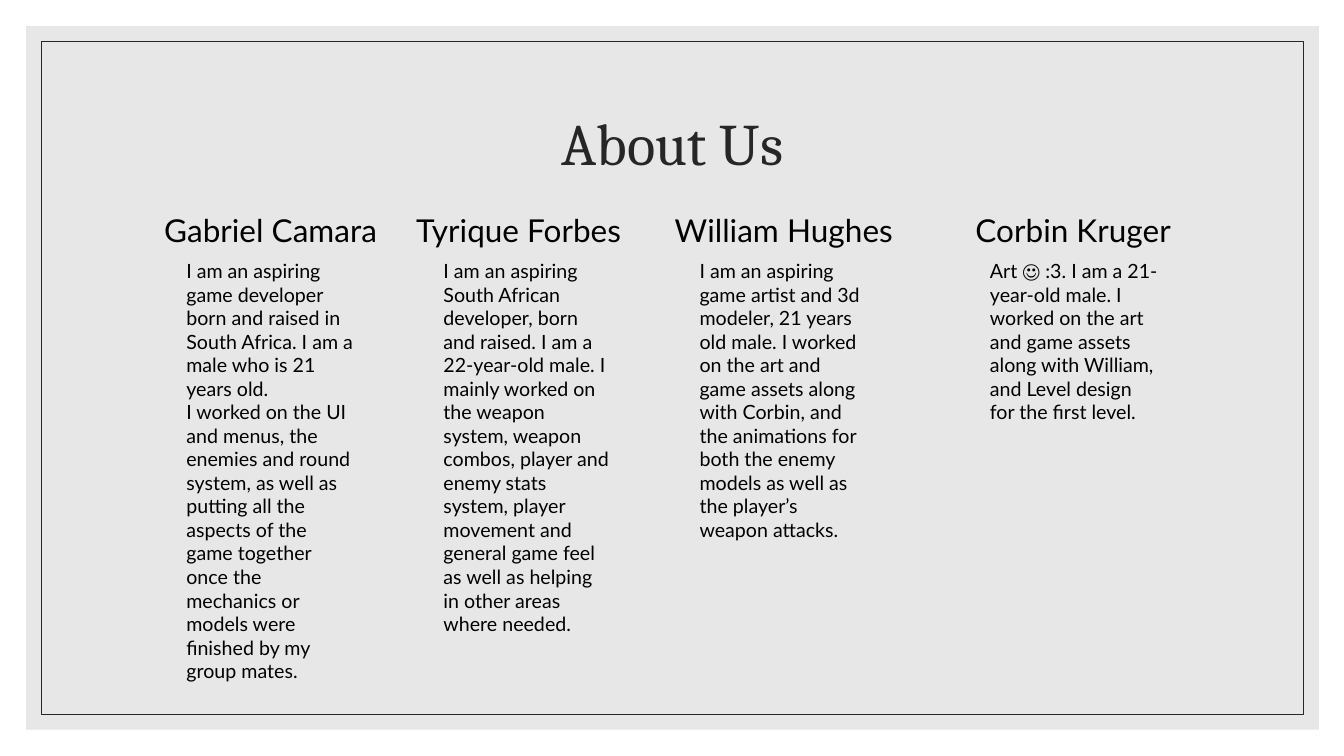
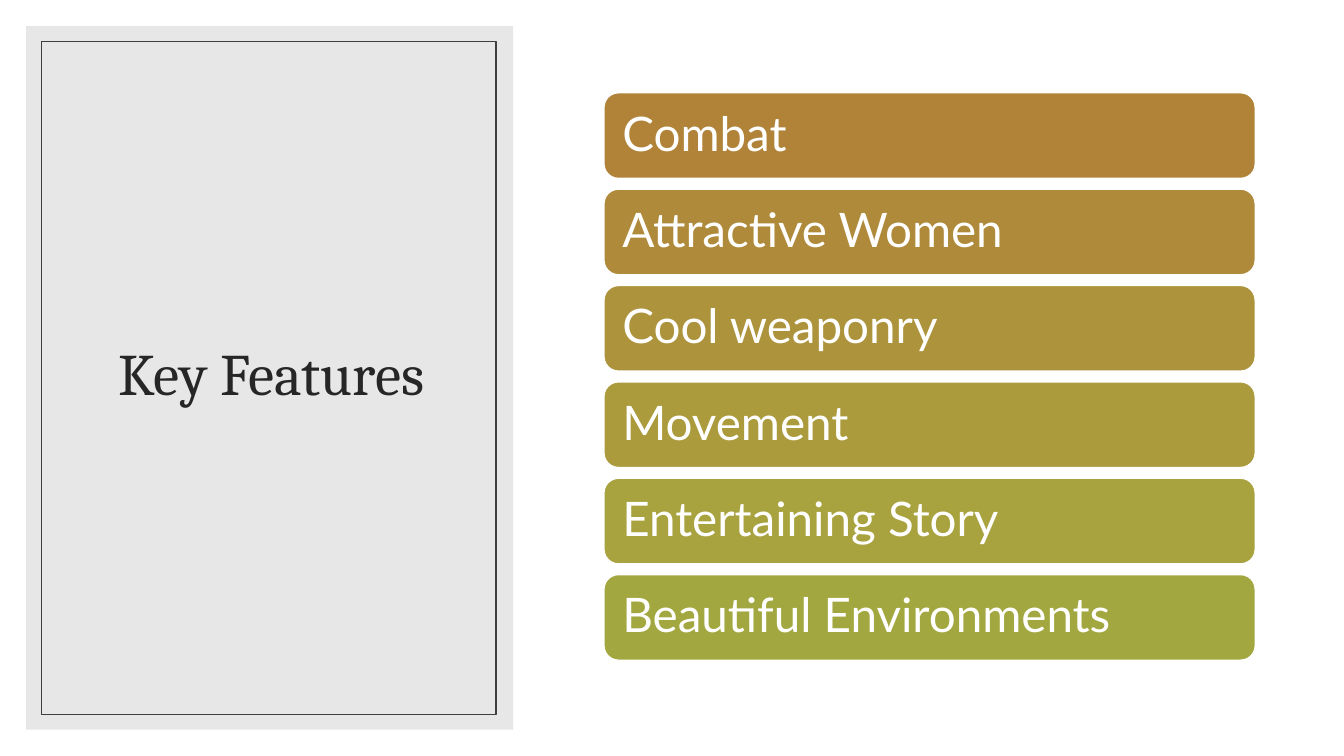
from pptx import Presentation
from pptx.dml.color import RGBColor
from pptx.enum.shapes import MSO_SHAPE as Preset
from pptx.enum.text import MSO_ANCHOR as Anchor, MSO_AUTO_SIZE as AutoSize, PP_ALIGN as Align
from pptx.util import Inches, Pt

INK = "262626"
WHITE = "FFFFFF"
PANEL_FILL = "E7E7E7"
TITLE_FONT = "Cambria"
BODY_FONT = "Lato"


def color(value):
    return RGBColor.from_string(value)


def write(shape, text, size, font=BODY_FONT, ink="000000", align=Align.LEFT,
          anchor=Anchor.TOP, spacing=1.0, side=0.1):
    frame = shape.text_frame
    frame.text = text
    frame.word_wrap = True
    frame.auto_size = AutoSize.NONE
    frame.vertical_anchor = anchor
    frame.margin_left = frame.margin_right = Inches(side)
    frame.margin_top = frame.margin_bottom = Inches(0.05)
    for paragraph in frame.paragraphs:
        paragraph.alignment = align
        paragraph.line_spacing = spacing
        for run in paragraph.runs:
            run.font.name = font
            run.font.size = Pt(size)
            run.font.color.rgb = color(ink)


presentation = Presentation()
presentation.slide_width = Inches(13.33)
presentation.slide_height = Inches(7.5)

slide_specs = [
    ("About Us", 12.82, 12.52, INK, (1.17, 0.7, 11, 1.5)),
    ("Key Features", 4.83, 4.51, "3F3F3F", (0.63, 0.61, 4.12, 6.24)),
]
slides = []
for heading, panel_width, frame_width, frame_color, title_box in slide_specs:
    slide = presentation.slides.add_slide(presentation.slide_layouts[5])
    slides.append(slide)

    panel = slide.shapes.add_shape(
        Preset.RECTANGLE, Inches(0.26), Inches(0.26), Inches(panel_width), Inches(6.98))
    panel.shadow.inherit = False
    panel.fill.solid()
    panel.fill.fore_color.rgb = color(PANEL_FILL)
    panel.line.fill.background()

    border = slide.shapes.add_shape(
        Preset.RECTANGLE, Inches(0.41), Inches(0.41), Inches(frame_width), Inches(6.68))
    border.shadow.inherit = False
    border.fill.background()
    border.line.color.rgb = color(frame_color)
    border.line.width = Pt(0.75)

    title = slide.shapes.title
    title.left, title.top, title.width, title.height = map(Inches, title_box)
    write(title, heading, 42, font=TITLE_FONT, ink=INK, align=Align.CENTER,
          anchor=Anchor.MIDDLE, spacing=0.9)
    slide.shapes.element.append(title.element)

about_slide, features_slide = slides

members = [
    ("Gabriel Camara", 1.17, 1.75, 4.34,
     "I am an aspiring game developer born and raised in South Africa. "
     "I am a male who is 21 years old.\n"
     "I worked on the UI and menus, the enemies and round system, as well as "
     "putting all the aspects of the game together once the mechanics or models "
     "were finished by my group mates."),
    ("Tyrique Forbes", 3.63, 4.3, 3.64,
     "I am an aspiring South African developer, born and raised. "
     "I am a 22-year-old male. I mainly worked on the weapon system, weapon combos, "
     "player and enemy stats system, player movement and general game feel as well "
     "as helping in other areas where needed."),
    ("William Hughes", 6.26, 6.84, 2.93,
     "I am an aspiring game artist and 3d modeler, 21 years old male. "
     "I worked on the art and game assets along with Corbin, and the animations for "
     "both the enemy models as well as the player’s weapon attacks."),
    ("Corbin Kruger", 9.13, 9.72, 1.99,
     "Art ☺ :3. I am a 21-year-old male. I worked on the art and game assets along "
     "with William, and Level design for the first level."),
]
for name, name_left, bio_left, bio_height, bio in members:
    name_box = about_slide.shapes.add_textbox(
        Inches(name_left), Inches(2.04), Inches(3.03), Inches(0.48))
    write(name_box, name, 22.5, align=Align.CENTER)
    bio_box = about_slide.shapes.add_textbox(
        Inches(bio_left), Inches(2.52), Inches(1.87), Inches(bio_height))
    write(bio_box, bio, 14)

features = [
    ("Combat", "B08339"),
    ("Attractive Women", "AE8A3A"),
    ("Cool weaponry", "AC933C"),
    ("Movement", "AB9B3D"),
    ("Entertaining Story", "A8A23F"),
    ("Beautiful Environments", "A3A740"),
]
bar_top, bar_pitch = 0.92, 0.956
for index, (feature, bar_color) in enumerate(features):
    bar = features_slide.shapes.add_shape(
        Preset.ROUNDED_RECTANGLE, Inches(5.99), Inches(bar_top + index * bar_pitch),
        Inches(6.46), Inches(0.85))
    bar.shadow.inherit = False
    bar.adjustments[0] = 0.17
    bar.fill.solid()
    bar.fill.fore_color.rgb = color(bar_color)
    bar.line.color.rgb = color(WHITE)
    bar.line.width = Pt(1)
    write(bar, feature, 34, ink=WHITE, anchor=Anchor.MIDDLE, spacing=0.9, side=0.14)

presentation.save("out.pptx")
